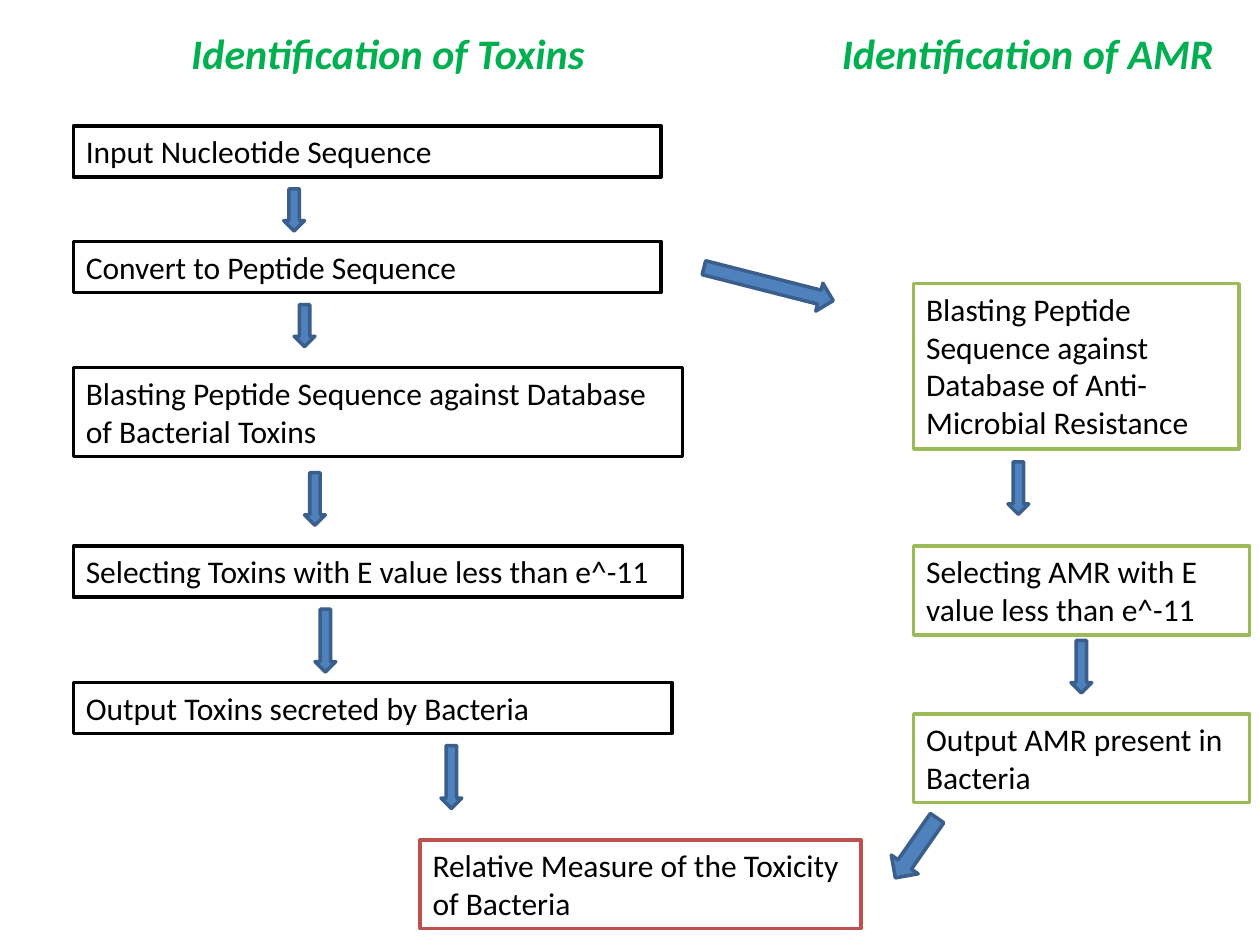
from pptx import Presentation
from pptx.dml.color import RGBColor
from pptx.enum.shapes import MSO_SHAPE
from pptx.enum.text import MSO_ANCHOR, MSO_AUTO_SIZE, PP_ALIGN
from pptx.util import Cm, Pt

COLORS = {
    "heading": "00B050",
    "text": "000000",
    "box": "FFFFFF",
    "toxins": "000000",
    "amr": "9BBB59",
    "result": "C0504D",
    "arrow": "4F81BD",
    "arrow_line": "3A5F8C",
}
TOXINS_LEFT, AMR_LEFT = 1.48, 18.42
ONE_LINE, TWO_LINES, FOUR_LINES = 1.03, 1.79, 3.33  # box heights
ARROW_WIDTH = 0.42

# Left, top, width, height, text, outline
BOXES = [
    (TOXINS_LEFT, 2.54, 11.85, ONE_LINE, "Input Nucleotide Sequence", "toxins"),
    (TOXINS_LEFT, 4.87, 11.85, ONE_LINE, "Convert to Peptide Sequence", "toxins"),
    (TOXINS_LEFT, 7.41, 12.28, TWO_LINES,
     "Blasting Peptide Sequence against Database of Bacterial Toxins", "toxins"),
    (TOXINS_LEFT, 11.01, 12.28, ONE_LINE,
     "Selecting Toxins with E value less than e^-11", "toxins"),
    (TOXINS_LEFT, 13.76, 12.07, ONE_LINE,
     "Output Toxins secreted by Bacteria", "toxins"),
    (AMR_LEFT, 5.72, 6.56, FOUR_LINES,
     "Blasting Peptide Sequence against Database of Anti-Microbial Resistance", "amr"),
    (AMR_LEFT, 11.01, 6.77, TWO_LINES,
     "Selecting AMR with E value less than e^-11", "amr"),
    (AMR_LEFT, 14.39, 6.77, TWO_LINES, "Output AMR present in Bacteria", "amr"),
    (8.47, 16.93, 8.89, TWO_LINES,
     "Relative Measure of the Toxicity of Bacteria", "result"),
]

# Left, top, height of the vertical arrows
DOWN_ARROWS = [
    (5.72, 3.81, 0.85),
    (5.93, 6.14, 0.85),
    (6.14, 9.53, 1.06),
    (6.35, 12.28, 1.27),
    (8.89, 15.03, 1.27),
    (20.32, 9.31, 1.06),
    (21.59, 12.91, 1.06),
]


def rgb(name):
    return RGBColor.from_string(COLORS[name])


def write(sp, text, size, color, bold=None, italic=None):
    tf = sp.text_frame
    tf.text = text
    tf.word_wrap = True
    tf.auto_size = MSO_AUTO_SIZE.NONE
    tf.vertical_anchor = MSO_ANCHOR.TOP
    p = tf.paragraphs[0]
    p.alignment = PP_ALIGN.LEFT
    font = p.runs[0].font
    font.name, font.size = "Calibri", Pt(size)
    font.bold, font.italic = bold, italic
    font.color.rgb = rgb(color)


def add_block(s, kind, left, top, width, height, fill, line):
    sp = s.shapes.add_shape(kind, Cm(left), Cm(top), Cm(width), Cm(height))
    sp.shadow.inherit = False
    sp.fill.solid()
    sp.fill.fore_color.rgb = rgb(fill)
    sp.line.color.rgb = rgb(line)
    sp.line.width = Pt(2)
    return sp


def add_box(s, left, top, width, height, text, outline):
    sp = add_block(s, MSO_SHAPE.RECTANGLE, left, top, width, height, "box", outline)
    write(sp, text, 18, "text")


def add_arrow(s, kind, left, top, width, height, rotation=0):
    sp = add_block(s, kind, left, top, width, height, "arrow", "arrow_line")
    sp.rotation = rotation


def set_heading(sp, left, width, text):
    sp.left, sp.top, sp.width, sp.height = Cm(left), Cm(0.42), Cm(width), Cm(1.28)
    write(sp, text, 24, "heading", bold=True, italic=True)


def main():
    prs = Presentation()
    prs.slide_width, prs.slide_height = Cm(25.4), Cm(19.05)
    s = prs.slides.add_slide(prs.slide_layouts[5])

    # Column headings
    set_heading(s.shapes.title, 3.6, 8.53, "Identification of Toxins")
    amr_heading = s.shapes.add_textbox(0, 0, 0, 0)
    set_heading(amr_heading, 16.72, 8.05, "Identification of AMR")

    # Steps of both branches and the shared result
    for box in BOXES:
        add_box(s, *box)

    # Arrows within each branch
    for left, top, height in DOWN_ARROWS:
        add_arrow(s, MSO_SHAPE.DOWN_ARROW, left, top, ARROW_WIDTH, height)

    # Slanted arrows into the AMR branch and from it to the result
    add_arrow(s, MSO_SHAPE.RIGHT_ARROW, 14.15, 5.44, 2.69, 0.58, 14.3)
    add_arrow(s, MSO_SHAPE.DOWN_ARROW, 18.14, 16.36, 0.66, 1.47, 34.9)

    prs.save("out.pptx")


if __name__ == "__main__":
    main()
